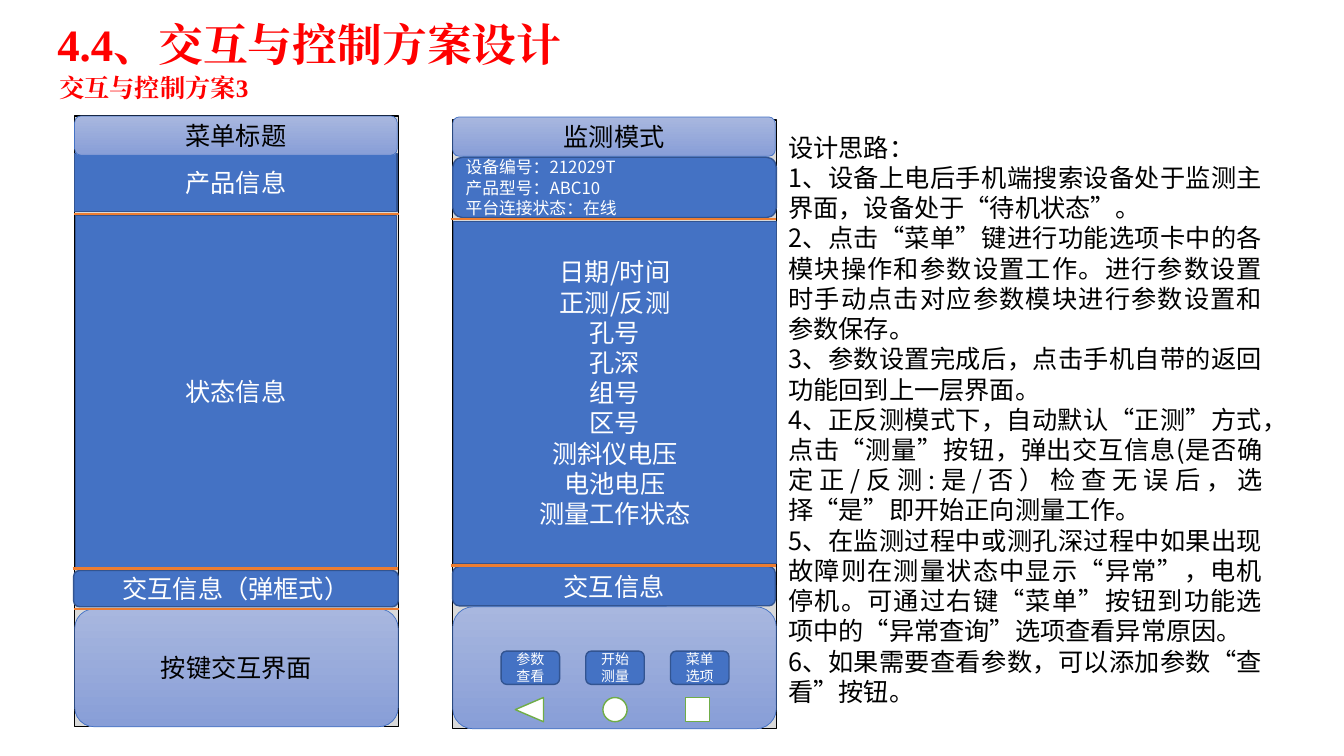
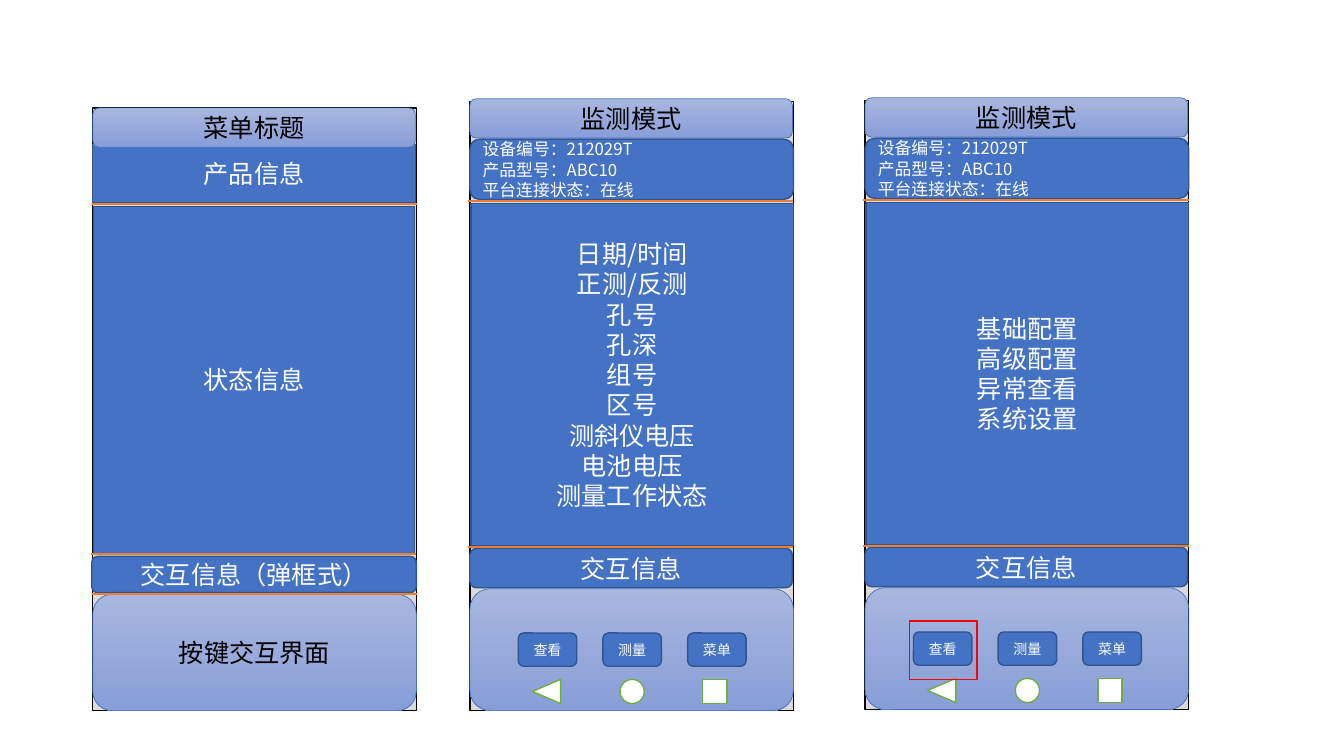
import pptx
import pptx.util
import pptx.dml.color
import pptx.enum.shapes
import pptx.enum.text
import pptx.oxml.ns
import lxml.etree

Inches = pptx.util.Inches
Pt = pptx.util.Pt
Kind = pptx.enum.shapes.MSO_SHAPE
Align = pptx.enum.text.PP_ALIGN
Anchor = pptx.enum.text.MSO_ANCHOR
qn = pptx.oxml.ns.qn

SANS = "Noto Sans CJK SC"
SERIF = "Times New Roman"
BLUE, NAVY, EDGE = "4472C4", "325491", "4472C4"
PALE, DEEP = "A8B7DF", "889ED7"
ORANGE, GREEN, RED = "ED7D31", "70AD47", "FF0000"
GREY, BLACK, WHITE = "D9D9D9", "000000", "FFFFFF"
WIDE = 3.21

DEVICE = ["设备编号：212029T", "产品型号：ABC10", "平台连接状态：在线"]
VALUES = ["日期/时间", "正测/反测", "孔号", "孔深", "组号", "区号",
          "测斜仪电压", "电池电压", "测量工作状态"]
OPTIONS = ["基础配置", "高级配置", "异常查看", "系统设置"]
IDEAS = [
    "设计思路：",
    "1、设备上电后手机端搜索设备处于监测主界面，设备处于“待机状态”。",
    "2、点击“菜单”键进行功能选项卡中的各模块操作和参数设置工作。"
    "进行参数设置时手动点击对应参数模块进行参数设置和参数保存。",
    "3、参数设置完成后，点击手机自带的返回功能回到上一层界面。",
    "4、正反测模式下，自动默认“正测”方式，点击“测量”按钮，"
    "弹出交互信息(是否确定正/反测:是/否）检查无误后，选择“是”即开始正向测量工作。",
    "5、在监测过程中或测孔深过程中如果出现故障则在测量状态中显示“异常”，电机停机。"
    "可通过右键“菜单”按钮到功能选项中的“异常查询”选项查看异常原因。",
    "6、如果需要查看参数，可以添加参数“查看”按钮。",
]


def color(code):
    return pptx.dml.color.RGBColor.from_string(code)


def write(frame, text, size=18, ink=WHITE, font=SANS, bold=False,
          align=Align.CENTER, anchor=Anchor.MIDDLE):
    """Fill a text frame with one paragraph, or one for each item of a list."""
    frame.word_wrap = True
    frame.vertical_anchor = anchor
    rows = [text] if isinstance(text, str) else text
    for i, row in enumerate(rows):
        para = frame.paragraphs[0] if i == 0 else frame.add_paragraph()
        para.alignment = align
        run = para.add_run()
        run.text = row
        run.font.size = Pt(size)
        run.font.bold = bold
        run.font.color.rgb = color(ink)
        run.font.name = font
        east = lxml.etree.SubElement(run.font._element, qn("a:ea"))
        east.set("typeface", font)


def label(shapes, x, y, w, h, text, **style):
    box = shapes.add_textbox(Inches(x), Inches(y), Inches(w), Inches(h))
    write(box.text_frame, text, anchor=Anchor.TOP, **style)


def block(shapes, kind, x, y, w, h, fill=BLUE, line=NAVY, width=1,
          text=None, **style):
    """Add a shape; a pair of fills makes a gradient from top to bottom."""
    item = shapes.add_shape(kind, Inches(x), Inches(y), Inches(w), Inches(h))
    item.shadow.inherit = False
    if fill is None:
        item.fill.background()
    elif isinstance(fill, tuple):
        item.fill.gradient()
        item.fill.gradient_angle = 270
        for stop, code in zip(item.fill.gradient_stops, fill):
            stop.color.rgb = color(code)
    else:
        item.fill.solid()
        item.fill.fore_color.rgb = color(fill)
    item.line.color.rgb = color(line)
    item.line.width = Pt(width)
    if text:
        write(item.text_frame, text, **style)
    return item


def panel(shapes, x, y, w, h, text=None):
    block(shapes, Kind.ROUNDED_RECTANGLE, x, y, w, h, fill=(PALE, DEEP),
          line=EDGE, width=0.5, text=text, ink=BLACK)


def rule(shapes, x, y):
    line = shapes.add_connector(pptx.enum.shapes.MSO_CONNECTOR.STRAIGHT,
                                Inches(x), Inches(y), Inches(x + 3.23), Inches(y))
    line.line.color.rgb = color(ORANGE)
    line.line.width = Pt(1.5)
    lxml.etree.SubElement(line._element.spPr, qn("a:effectLst"))


def layout(slide, x, y, tall):
    """Draw the phone that names the zones of the screen."""
    group = slide.shapes.add_group_shape().shapes
    k = tall / 6.06
    block(group, Kind.RECTANGLE, x, y, WIDE, tall, fill=GREY, line=BLACK)
    block(group, Kind.ROUNDED_RECTANGLE, x - 0.01, y + 4.51 * k, 3.22, 0.36,
          text="交互信息（弹框式）")
    panel(group, x, y + 4.89 * k, WIDE, 1.17 * k, "按键交互界面")
    rule(group, x - 0.01, y + 0.97 * k)
    block(group, Kind.RECTANGLE, x, y + 0.37 * k, 3.2, 0.58 * k, text="产品信息")
    block(group, Kind.RECTANGLE, x + 0.01, y + 0.99 * k, 3.18, 3.49 * k,
          text="状态信息")
    rule(group, x - 0.02, y + 4.49 * k)
    panel(group, x, y, 3.2, 0.39, "菜单标题")
    rule(group, x - 0.01, y + 4.89 * k)


def keys(shapes, x, y, names):
    """Draw the three buttons and the phone's own keys below them."""
    for i, name in enumerate(names):
        block(shapes, Kind.ROUNDED_RECTANGLE, x + 0.48 + 0.84 * i, y + 5.3,
              0.58, 0.33, text=name, size=10)
    icons = [(Kind.FLOWCHART_MERGE, 0.64, 5.74, 0.28, 90),
             (Kind.OVAL, 1.49, 5.76, 0.24, 0),
             (Kind.RECTANGLE, 2.31, 5.76, 0.24, 0)]
    for kind, dx, dy, h, turn in icons:
        icon = block(shapes, kind, x + dx, y + dy, 0.24, h, fill=WHITE, line=GREEN)
        icon.rotation = turn


def monitor(slide, x, y, items, names):
    """Draw the phone in monitoring mode."""
    group = slide.shapes.add_group_shape().shapes
    block(group, Kind.RECTANGLE, x, y + 0.03, WIDE, 6.04, fill=GREY, line=BLACK)
    block(group, Kind.ROUNDED_RECTANGLE, x, y + 0.4, WIDE, 0.6,
          text=DEVICE, size=12, align=Align.JUSTIFY)
    block(group, Kind.ROUNDED_RECTANGLE, x, y + 4.46, 3.2, 0.39, text="交互信息")
    panel(group, x, y + 4.86, WIDE, 1.21)
    rule(group, x - 0.02, y + 1.01)
    block(group, Kind.RECTANGLE, x + 0.01, y + 1.04, 3.2, 3.39, text=items)
    rule(group, x - 0.02, y + 4.45)
    panel(group, x, y, 3.2, 0.39, "监测模式")
    keys(slide.shapes, x, y, names)


def main():
    deck = pptx.Presentation()
    deck.slide_width, deck.slide_height = Inches(13.33), Inches(7.5)
    first, second = [deck.slides.add_slide(deck.slide_layouts[6]) for _ in range(2)]

    head = dict(ink=RED, font=SERIF, bold=True, align=Align.LEFT)
    label(first.shapes, 0.47, 0.12, 6.94, 0.64, "4.4、交互与控制方案设计",
          size=32, **head)
    label(first.shapes, 0.49, 0.67, 5.92, 0.4, "交互与控制方案3", **head)
    layout(first, 0.74, 1.15, 6.06)
    monitor(first, 4.49, 1.16, VALUES, ["参数查看", "开始测量", "菜单选项"])
    label(first.shapes, 7.72, 1.26, 4.9, 5.86, IDEAS, ink=BLACK,
          align=Align.JUSTIFY)

    names = ["查看", "测量", "菜单"]
    layout(second, 0.92, 1.07, 5.98)
    monitor(second, 4.66, 0.98, VALUES, names)
    monitor(second, 8.58, 0.97, OPTIONS, names)
    block(second.shapes, Kind.RECTANGLE, 9.02, 6.16, 0.67, 0.58,
          fill=None, line=RED)
    deck.save("out.pptx")


if __name__ == "__main__":
    main()
